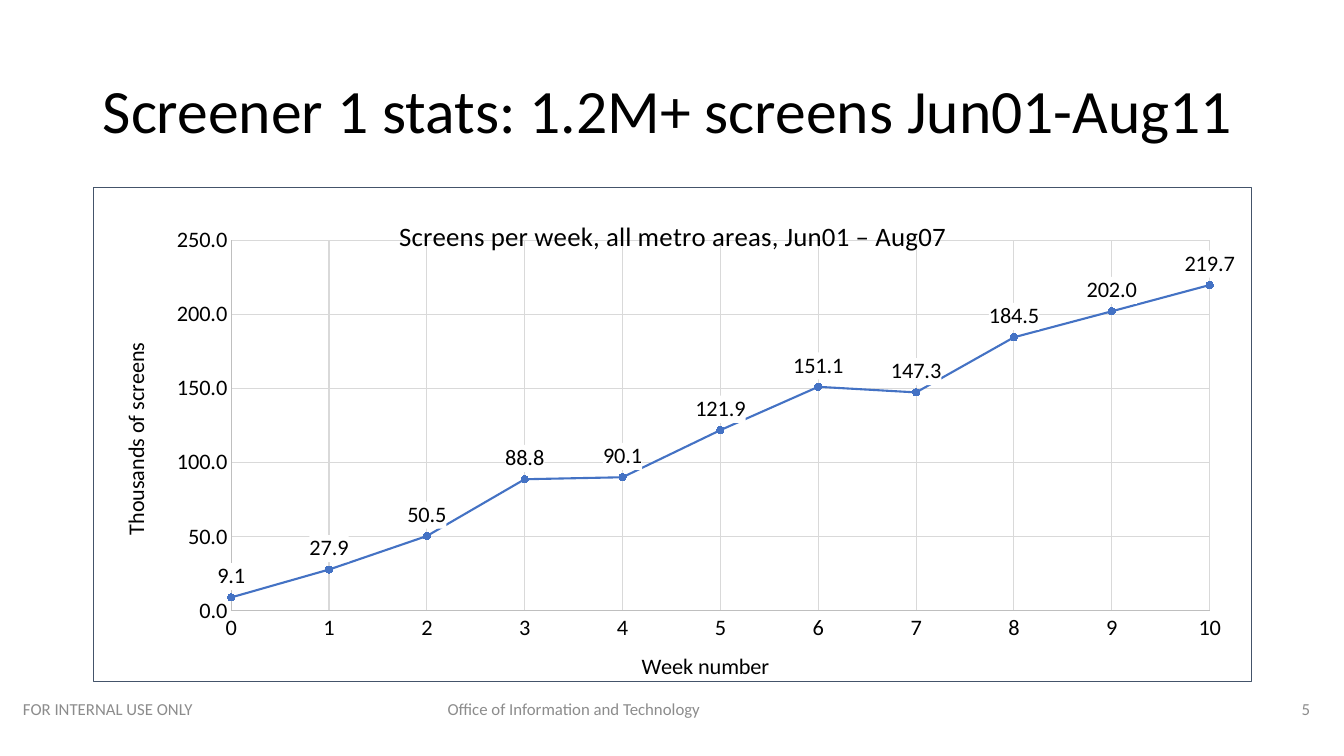
from dataclasses import dataclass

from pptx import Presentation
from pptx.chart.data import XyChartData
from pptx.chart.datalabel import DataLabels
from pptx.dml.color import RGBColor
from pptx.enum.chart import XL_CHART_TYPE, XL_LABEL_POSITION, XL_MARKER_STYLE, XL_TICK_MARK
from pptx.enum.text import MSO_ANCHOR, PP_ALIGN
from pptx.oxml import parse_xml
from pptx.oxml.ns import nsdecls, qn
from pptx.util import Cm, Pt


@dataclass(frozen=True)
class Theme:
    font: str = "Calibri"
    text: str = "000000"
    muted: str = "8C8C8C"
    accent: str = "4472C4"
    grid: str = "D9D9D9"
    axis: str = "BFBFBF"
    border: str = "44546A"
    background: str = "FFFFFF"
    heading_size: float = 44
    chart_title_size: float = 19.2
    chart_size: float = 16
    footer_size: float = 12


THEME = Theme()
THOUSANDS_PER_WEEK = [9.1, 27.9, 50.5, 88.8, 90.1, 121.9, 151.1, 147.3, 184.5, 202.0, 219.7]


def style_font(font, size, color=THEME.text):
    font.name = THEME.font
    font.size = Pt(size)
    font.bold = False
    font.color.rgb = RGBColor.from_string(color)


def style_line(line, color, width=0.75):
    line.color.rgb = RGBColor.from_string(color)
    line.width = Pt(width)


def add_text(page, place, text, size, color, align=PP_ALIGN.LEFT, line_spacing=1.0, tab=None):
    box = page.shapes.add_textbox(*(Cm(length) for length in place))
    frame = box.text_frame
    frame.word_wrap = True
    frame.vertical_anchor = MSO_ANCHOR.MIDDLE
    para = frame.paragraphs[0]
    para.alignment = align
    para.line_spacing = line_spacing
    if tab is not None:
        para._p.get_or_add_pPr().append(parse_xml(
            f'<a:tabLst {nsdecls("a")}><a:tab pos="{Cm(tab)}" algn="l"/></a:tabLst>'))
    span = para.add_run()
    span.text = text
    style_font(span.font, size, color)


def set_layout(parent, left, top, width=None, height=None):
    """Place a chart part by fractions of the chart; a size means the inner plot area."""
    old = parent.find(qn("c:layout"))
    if old is not None:
        parent.remove(old)
    target = '<c:layoutTarget val="inner"/>' if width else ""
    values = {"x": left, "y": top, "w": width, "h": height}
    lengths = "".join(f'<c:{key} val="{value}"/>' for key, value in values.items() if value)
    layout = parse_xml(
        f'<c:layout {nsdecls("c")}><c:manualLayout>{target}<c:xMode val="edge"/>'
        f'<c:yMode val="edge"/>{lengths}</c:manualLayout></c:layout>')
    text = parent.find(qn("c:tx"))
    if text is None:
        parent.insert(0, layout)
    else:
        text.addnext(layout)


def shape_properties(content):
    return parse_xml(f'<c:spPr {nsdecls("c", "a")}>{content}</c:spPr>')


def solid_fill(color):
    return f'<a:solidFill><a:srgbClr val="{color}"/></a:solidFill>'


def write_title(title, text, size, left, top):
    span = title.text_frame.paragraphs[0].add_run()
    span.text = text
    style_font(span.font, size)
    set_layout(title._element, left, top)


def style_axis(axis, maximum, step, number_format, title, left, top):
    axis.minimum_scale = 0
    axis.maximum_scale = maximum
    axis.major_unit = step
    axis.major_tick_mark = axis.minor_tick_mark = XL_TICK_MARK.NONE
    axis.has_major_gridlines = True
    style_line(axis.major_gridlines.format.line, THEME.grid)
    style_line(axis.format.line, THEME.axis)
    axis.tick_labels.number_format = number_format
    axis.tick_labels.number_format_is_linked = False
    style_font(axis.tick_labels.font, THEME.chart_size)
    axis.has_title = True
    write_title(axis.axis_title, title, THEME.chart_size, left, top)


def style_series(series):
    style_line(series.format.line, THEME.accent, 1.5)
    series.marker.style = XL_MARKER_STYLE.CIRCLE
    series.marker.size = 5
    series.marker.format.fill.solid()
    series.marker.format.fill.fore_color.rgb = RGBColor.from_string(THEME.accent)
    style_line(series.marker.format.line, THEME.accent)

    element = series._element.get_or_add_dLbls()
    labels = DataLabels(element)
    labels.show_value = True
    labels.number_format = "0.0"
    labels.number_format_is_linked = False
    labels.position = XL_LABEL_POSITION.ABOVE
    style_font(labels.font, THEME.chart_size)
    element.find(qn("c:txPr")).addprevious(shape_properties(solid_fill(THEME.background)))


def add_screens_chart(page):
    data = XyChartData(number_format="0.0")
    screens = data.add_series("Series 1")
    for week, thousands in enumerate(THOUSANDS_PER_WEEK):
        screens.add_data_point(week, thousands)
    chart = page.shapes.add_chart(
        XL_CHART_TYPE.XY_SCATTER_LINES, Cm(2.34), Cm(4.72), Cm(29.21), Cm(12.6), data).chart
    style_font(chart.font, THEME.chart_size)
    chart.has_legend = False
    chart.plots[0].vary_by_categories = False
    chart.has_title = True
    write_title(chart.chart_title, "Screens per week, all metro areas, Jun01 – Aug07",
                THEME.chart_title_size, 0.26, 0.05)

    style_axis(chart.category_axis, 10, 1, "0", "Week number", 0.47, 0.93)
    style_axis(chart.value_axis, 250, 50, "0.0", "Thousands of screens", 0.02, 0.31)
    body = chart.value_axis.axis_title.text_frame._txBody.bodyPr
    body.set("rot", "-5400000")
    body.set("vert", "horz")

    style_series(chart.plots[0].series[0])
    chart_element = chart._chartSpace.find(qn("c:chart"))
    set_layout(chart_element.find(qn("c:plotArea")), 0.119, 0.106, 0.845, 0.751)
    chart_element.addnext(shape_properties(
        f'<a:noFill/><a:ln w="{Pt(0.75)}">{solid_fill(THEME.border)}</a:ln>'))


def main():
    deck = Presentation()
    deck.slide_width, deck.slide_height = Cm(33.87), Cm(19.05)
    page = deck.slides.add_slide(deck.slide_layouts[6])
    add_text(page, (2.34, 1.02, 29.21, 3.68), "Screener 1 stats: 1.2M+ screens Jun01-Aug11",
             THEME.heading_size, THEME.text, line_spacing=0.9)
    add_text(page, (25.65, 17.35, 7.62, 1.02), "5", THEME.footer_size, THEME.muted,
             align=PP_ALIGN.RIGHT)
    add_screens_chart(page)
    add_text(page, (0.33, 17.42, 18.19, 0.89),
             "FOR INTERNAL USE ONLY\tOffice of Information and Technology",
             THEME.footer_size, THEME.muted, tab=10.7)
    deck.save("out.pptx")


if __name__ == "__main__":
    main()
